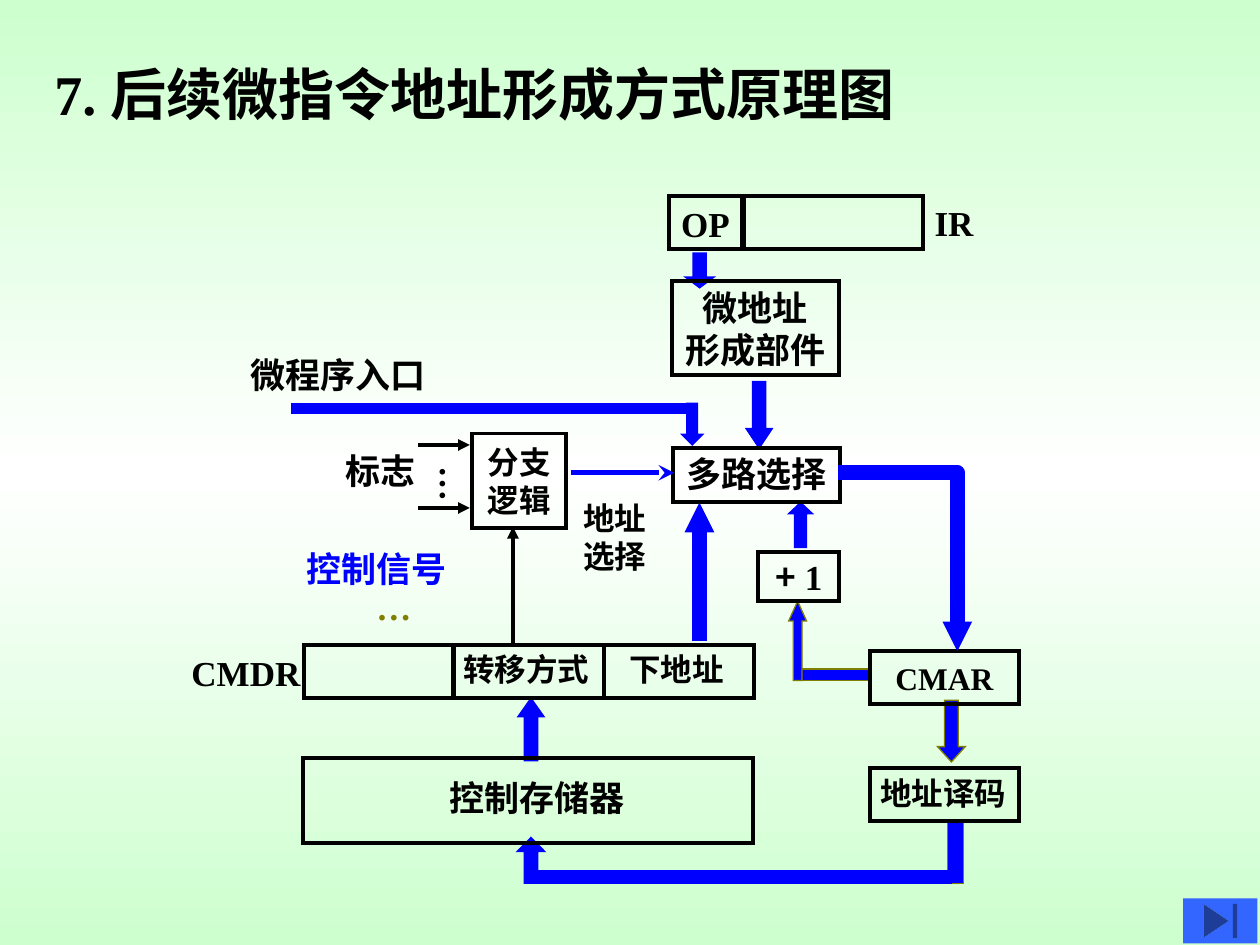
from copy import deepcopy
from dataclasses import dataclass

from lxml import etree
from pptx import Presentation
from pptx.dml.color import RGBColor
from pptx.enum.shapes import MSO_CONNECTOR, MSO_SHAPE
from pptx.enum.text import MSO_ANCHOR, MSO_AUTO_SIZE, PP_ALIGN
from pptx.oxml.ns import qn
from pptx.util import Cm, Pt

RECT = MSO_SHAPE.RECTANGLE
UP = MSO_SHAPE.UP_ARROW
DOWN = MSO_SHAPE.DOWN_ARROW
END = MSO_SHAPE.ACTION_BUTTON_END
LINE = MSO_CONNECTOR.STRAIGHT
TOP, MID = MSO_ANCHOR.TOP, MSO_ANCHOR.MIDDLE
LEFT, MIDST = PP_ALIGN.LEFT, PP_ALIGN.CENTER
GROW, FIXED = MSO_AUTO_SIZE.SHAPE_TO_FIT_TEXT, MSO_AUTO_SIZE.NONE


@dataclass(frozen=True)
class Theme:
    ink: str = "000000"
    blue: str = "0000FF"
    olive: str = "808000"
    key: str = "3366FF"
    edge: str = "CDFFCE"
    core: str = "FFFFFF"
    serif: str = "Times New Roman"
    sans: str = "DejaVu Sans"
    han: str = "Noto Sans CJK SC"
    head: int = 32
    body: int = 20
    small: int = 18
    thin: float = 0.75
    frame: float = 2.25
    link: float = 3
    bus: float = 8.5


T = Theme()


def rgb(hue):
    return RGBColor.from_string(hue)


def style(run, size, hue=T.ink, face=T.serif, east=T.sans):
    font = run.font
    font.size, font.bold, font.name = Pt(size), True, face
    font.color.rgb = rgb(hue)
    node = etree.SubElement(run._r.get_or_add_rPr(), qn("a:ea"))
    node.set("typeface", east)


def write(frame, text, size, hue=T.ink, align=LEFT, east=T.sans):
    frame.text = text
    frame.word_wrap = False
    for para in frame.paragraphs:
        para.alignment = align
        for run in para.runs:
            style(run, size, hue, east=east)


def mix(para, parts, size):
    """Fill a paragraph with runs in different fonts."""
    for text, face in parts:
        run = para.add_run()
        run.text = text
        style(run, size, face=face, east=face)


def pen(line, hue, width, tip=None, head="med"):
    """Outline with sharp corners, or a line with an arrowhead."""
    line.color.rgb = rgb(hue)
    line.width = Pt(width)
    node = line._get_or_add_ln()
    if tip:
        end = etree.SubElement(node, qn("a:tailEnd"))
        for name, value in (("type", tip), ("w", head), ("len", head)):
            end.set(name, value)
    else:
        etree.SubElement(node, qn("a:miter")).set("lim", "800000")


def shape(slide, kind, spot):
    item = slide.shapes.add_shape(kind, *map(Cm, spot))
    item.shadow.inherit = False
    return item


def box(slide, spot, text="", size=T.body, pad=(0.25, 0.13)):
    item = shape(slide, RECT, spot)
    item.fill.background()
    pen(item.line, T.ink, T.frame)
    frame = item.text_frame
    frame.margin_left, frame.margin_top = map(Cm, pad)
    frame.vertical_anchor = MID
    if text:
        write(frame, text, size, align=MIDST)
    return item


def bar(slide, kind, spot, tip=None, hue=T.blue, width=T.thin):
    """Solid blue rectangle or block arrow; tip is the head's length ratio."""
    item = shape(slide, kind, spot)
    if tip:
        item.adjustments[0], item.adjustments[1] = 0.5, tip
    item.fill.solid()
    item.fill.fore_color.rgb = rgb(T.blue)
    pen(item.line, hue, width)


def label(slide, spot, text, size=T.body, hue=T.ink, east=T.sans):
    item = slide.shapes.add_textbox(*map(Cm, spot))
    write(item.text_frame, text, size, hue, east=east)
    item.text_frame.auto_size = GROW
    return item


def wire(slide, ends, hue, width, tip="triangle", head="med"):
    item = slide.shapes.add_connector(LINE, *map(Cm, ends))
    pen(item.line, hue, width, tip, head)
    etree.SubElement(item._element.spPr, qn("a:effectLst"))


def bend(slide, points):
    first, *rest = [(Cm(x), Cm(y)) for x, y in points]
    path = slide.shapes.build_freeform(*first)
    path.add_line_segments(rest, close=False)
    item = path.convert_to_shape()
    item.shadow.inherit = False
    item.fill.background()
    pen(item.line, T.blue, T.bus, "triangle", "sm")


def paint(slide):
    fill = slide.background.fill
    fill.gradient()
    fill.gradient_angle = 90
    for stop in fill.gradient_stops:
        stop.color.rgb = rgb(T.edge)
    stops = slide.element.find(".//" + qn("a:gsLst"))
    stops.insert(1, deepcopy(stops[0]))
    for stop, place in zip(fill.gradient_stops, (0, 0.5, 1)):
        stop.position = place
    fill.gradient_stops[1].color.rgb = rgb(T.core)


def title(slide):
    item = slide.shapes.title
    item.left, item.top, item.width, item.height = map(Cm, (0.84, 1.07, 21.62, 1.63))
    frame = item.text_frame
    frame.vertical_anchor, frame.auto_size = TOP, FIXED
    para = frame.paragraphs[0]
    para.alignment = LEFT
    mix(para, [("7. ", T.serif), ("后续微指令地址形成方式原理图", T.sans)], T.head)


def main():
    deck = Presentation()
    deck.slide_width, deck.slide_height = Cm(25.4), Cm(19.05)
    slide = deck.slides.add_slide(deck.slide_layouts[5])
    paint(slide)
    title(slide)

    # Block arrows and bars: kind, place, head, outline
    for part in (
        (DOWN, (18.9, 14.12, 0.56, 1.24), 0.55, T.olive),
        (UP, (10.49, 14.12, 0.43, 1.19), 0.71, T.blue, T.frame),
        (DOWN, (15.09, 7.72, 0.43, 1.27), 0.75, T.blue, T.frame),
        (DOWN, (13.89, 5.13, 0.43, 0.64), 0.37, T.blue, T.frame),
        (RECT, (5.89, 8.13, 8.05, 0.2)),
        (DOWN, (13.74, 8.13, 0.43, 0.84), 0.5),
        (RECT, (19.1, 16.54, 0.33, 1.27), None, T.olive),
        (UP, (15.9, 10.13, 0.48, 0.91), 0.47),
        (RECT, (16.08, 13.49, 1.45, 0.23), None, T.olive),
        (UP, (15.9, 12.12, 0.36, 1.6), 1.11, T.olive),
        (RECT, (10.67, 17.55, 8.51, 0.25)),
        (UP, (10.49, 16.92, 0.43, 0.86), 0.51, T.blue, T.frame),
    ):
        bar(slide, *part)

    # Framed units
    box(slide, (13.49, 3.96, 1.47, 1.07), "OP")
    box(slide, (14.99, 3.96, 3.61, 1.07))
    box(slide, (13.54, 5.66, 3.38, 1.9), "微地址\n形成部件")
    box(slide, (13.56, 9.04, 3.38, 1.09), "多路选择", pad=(0.25, 0.03))
    box(slide, (9.52, 8.74, 1.9, 1.9), "分支\n逻辑", T.small)
    box(slide, (17.53, 13.13, 3.02, 1.07), "CMAR", T.small)
    box(slide, (17.53, 15.49, 3.02, 1.07), "地址译码", T.small, (0.2, 0.05))
    box(slide, (6.1, 15.29, 9.09, 1.7), "控制存储器", pad=(0.63, 0))
    plus = box(slide, (15.29, 11.13, 1.63, 0.99)).text_frame
    plus.word_wrap = False
    plus.paragraphs[0].alignment = MIDST
    mix(plus.paragraphs[0], [("+", T.han), (" 1", T.serif)], T.body)

    # CMDR fields
    for i, text in enumerate(("", "转移方式", "下地址")):
        box(slide, (6.12 + 3.03 * i, 13, 3.02, 1.07), text, T.small, (0.15, 0.03))

    # Free labels
    label(slide, (11.51, 9.93, 2, 1.78), "地址\n选择", T.small)
    label(slide, (3.61, 13, 3, 1.12), "CMDR")
    label(slide, (7.34, 11.68, 1.4, 1.12), "…", hue=T.olive, east=T.serif)
    label(slide, (5.92, 10.92, 3.6, 1.12), "控制信号", hue=T.blue)
    label(slide, (6.71, 8.94, 2.2, 1.12), "标志")
    label(slide, (4.8, 7.01, 4.3, 1.12), "微程序入口")
    label(slide, (18.59, 3.94, 1.5, 1.12), "IR")
    dots = label(slide, (8.36, 9.15, 1.35, 0.97), "…", east=T.serif).text_frame
    dots.margin_left = dots.margin_right = Cm(0.13)
    dots.margin_top = dots.margin_bottom = Cm(0.25)
    dots._txBody.bodyPr.set("vert", "eaVert")

    # Thin arrows and the wide buses
    wire(slide, (11.51, 9.53, 13.59, 9.53), T.blue, T.link, "stealth")
    wire(slide, (10.34, 12.98, 10.34, 10.62), T.ink, T.frame)
    for y in (8.97, 10.24):
        wire(slide, (8.43, y, 9.47, y), T.ink, T.frame)
    bend(slide, [(16.89, 9.53), (19.3, 9.53), (19.3, 13.13)])
    wire(slide, (14.1, 12.93, 14.1, 10.13), T.blue, T.bus, head="sm")

    # Button in the corner
    key = shape(slide, END, (23.85, 18.11, 1.5, 0.91))
    key.fill.solid()
    key.fill.fore_color.rgb = rgb(T.key)
    key.line.fill.background()

    deck.save("out.pptx")


if __name__ == "__main__":
    main()
